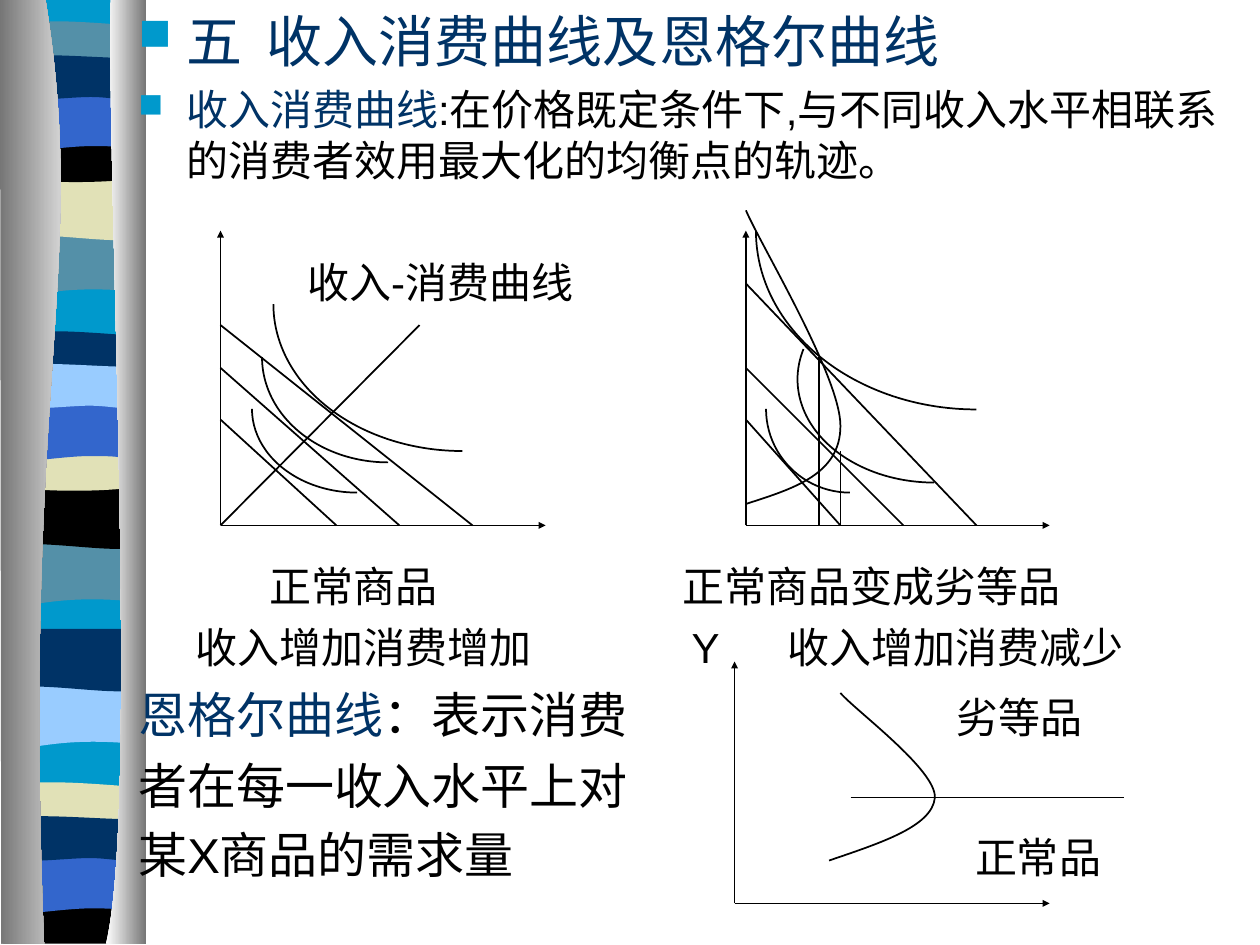
from lxml.etree import SubElement
from pptx import Presentation
from pptx.dml.color import RGBColor
from pptx.enum.shapes import MSO_CONNECTOR as CONN, MSO_SHAPE as SHAPE
from pptx.oxml.ns import qn
from pptx.util import Pt

PX = 9144
NAVY, BLACK, CYAN, TEAL, BLUE, SAND, SKY = (
    "003366", "000000", "0099CC", "5490A8", "3366CC", "E1E1B7", "99CCFF")

# Outlines: a pair is a corner, six numbers are a Bézier segment.
BANDS = {
    "sheet": [(114, 0), (114, 748), (6, 748), (6, 0)],
    "slab": [(114, 0), (114, 47), (39, 39, 24, 55, 6, 47), (6, 0)],
    "flag": [(114, 0), (114, 47), (96, 55, 39, 42, 6, 47), (6, 0)],
    "ribbon": [(114, 5), (114, 29), (96, 33, 24, 33, 6, 29), (6, 5),
               (12, 0, 29, 1, 47, 1), (65, 1, 100, 4, 114, 5)],
    "sag": [(114, 0), (114, 32), (96, 38, 24, 38, 6, 32), (6, 0), (72, 5, 91, 0, 114, 0)],
    "base": [(114, 0), (114, 37), (6, 37), (6, 0), (72, 5, 91, 0, 114, 0)],
    "drape": [(114, 0), (114, 47), (97, 42, 90, 42, 72, 42), (54, 42, 22, 47, 6, 47), (6, 0)],
    "wave": [(114, 5), (114, 36), (107, 41, 90, 36, 72, 36), (54, 36, 17, 41, 6, 36),
             (6, 5), (21, 0, 79, 5, 97, 5), (115, 5, 110, 5, 114, 5)],
}
STRIPES = [
    ("sheet", 0, -1, CYAN),
    ("slab", 0, 185, TEAL), ("flag", 0, 141, SAND), ("ribbon", 0, 16, TEAL),
    ("sag", 0, 108, BLACK), ("drape", 0, 74, BLUE), ("wave", 0, 41, NAVY),
    ("slab", -1, 431, TEAL), ("flag", -1, 386, BLACK), ("ribbon", -1, 262, NAVY),
    ("sag", -1, 353, SAND), ("drape", -1, 320, BLUE), ("wave", -1, 286, SKY),
    ("slab", 0, 544, SKY), ("flag", 0, 499, NAVY), ("ribbon", -1, 620, SAND),
    ("base", -1, 712, BLACK), ("drape", -1, 679, BLUE), ("wave", -1, 645, NAVY),
]
PANELS = [
    ([(36, -1), (71, 216, 17, 296, 35, 749), (1, 749), (0, -1)], ("767676", "FFFFFF")),
    ([(88, -1), (84, 125, 111, 646, 84, 749), (116, 749), (116, 0)], ("FFFFFF", "767676")),
]
AXES = [
    (175, 417, 175, 183), (175, 417, 433, 417),
    (592, 417, 592, 183), (592, 417, 833, 417),
    (583, 717, 833, 717), (583, 717, 583, 525),
]
LINES = [
    (175, 333, 267, 417), (175, 292, 317, 417), (175, 258, 375, 417), (175, 417, 333, 258),
    (592, 333, 667, 417), (592, 292, 717, 417), (592, 225, 775, 417),
    (650, 283, 650, 417), (667, 358, 667, 417), (675, 633, 892, 633),
]
# Ellipse box and the angle where the arc ends.
ARCS = [
    ((200, 258, 167, 133), 180), ((208, 200, 200, 167), 180), ((217, 125, 300, 233), 180),
    ((608, 258, 133, 133), 180), ((633, 219, 217, 164), 193), ((600, 42, 350, 283), 180),
]
CURVES = [
    [(592, 400), (629, 388, 667, 377, 667, 338), (667, 299, 604, 195, 592, 167)],
    [(658, 683), (699, 669, 740, 656, 742, 633), (743, 611, 679, 564, 667, 550)],
]
# Bullet, space before, tab stops, runs.
BODY = [
    (True, 0, [102], [("五\t收入消费曲线及恩格尔曲线", 32, NAVY)]),
    (True, 6, [], [
        ("收入消费曲线", 24, NAVY),
        (":在价格既定条件下,与不同收入水平相联系的消费者效用最大化的均衡点的轨迹。", 24, BLACK)]),
    (False, 41, [134], [("\t收入-消费曲线", 24, BLACK)]),
    (False, 145, [104, 432], [("\t正常商品\t正常商品变成劣等品", 24, BLACK)]),
    (False, 6, [45, 439, 515], [("\t收入增加消费增加\tY\t收入增加消费减少", 24, BLACK)]),
    (False, 7, [649], [("恩格尔曲线", 28, NAVY), ("：表示消费\t", 28, BLACK),
                       ("劣等品", 24, BLACK)]),
    (False, 7, [], [("者在每一收入水平上对", 28, BLACK)]),
    (False, 6, [664], [("某X商品的需求量\t", 28, BLACK), ("正常品", 24, BLACK)]),
]


def rgb(value):
    return RGBColor.from_string(value)


def add_free(shapes, outline, close, dx=0, dy=0):
    """Build an outline through all its knots, then bend the Bézier segments."""
    knots = [((x + dx) * PX, (y + dy) * PX)
             for seg in outline for x, y in zip(seg[::2], seg[1::2])]
    builder = shapes.build_freeform(*knots[0])
    builder.add_line_segments(knots[1:], close=close)
    s = builder.convert_to_shape()
    s.shadow.inherit = False
    steps = iter(list(s._element.iter(qn("a:lnTo"))))
    for seg in outline[1:]:
        first = next(steps)
        if len(seg) == 6:
            first.tag = qn("a:cubicBezTo")
            for _ in range(2):
                step = next(steps)
                first.append(step[0])
                step.getparent().remove(step)
    return s


def outline_only(s):
    s.shadow.inherit = False
    s.fill.background()
    s.line.color.rgb, s.line.width = rgb(BLACK), Pt(1)


def add_line(shapes, ends, arrow=False):
    s = shapes.add_connector(CONN.STRAIGHT, *[v * PX for v in ends])
    s.line.color.rgb, s.line.width = rgb(BLACK), Pt(1)
    if arrow:
        SubElement(s.line._get_or_add_ln(), qn("a:tailEnd"), type="triangle", w="sm", len="sm")
    SubElement(s._element.spPr, qn("a:effectLst"))


def set_layout(p, bullet, tabs):
    pPr = p._p.get_or_add_pPr()
    if bullet:
        pPr.set("marL", str(38 * PX))
        pPr.set("indent", str(-38 * PX))
        SubElement(SubElement(pPr, qn("a:buClr")), qn("a:srgbClr"), val=CYAN)
        SubElement(pPr, qn("a:buSzPct"), val="80000")
        SubElement(pPr, qn("a:buFont"), typeface="Wingdings")
        SubElement(pPr, qn("a:buChar"), char="n")
    if tabs:
        stops = SubElement(pPr, qn("a:tabLst"))
        for tab in tabs:
            SubElement(stops, qn("a:tab"), pos=str(tab * PX), algn="l")


def add_body(shapes):
    tf = shapes.add_textbox(100 * PX, 0, 883 * PX, 750 * PX).text_frame
    tf.word_wrap = True
    for i, (bullet, before, tabs, runs) in enumerate(BODY):
        p = tf.add_paragraph() if i else tf.paragraphs[0]
        set_layout(p, bullet, tabs)
        p.space_before = Pt(before)
        for text, size, color in runs:
            r = p.add_run()
            r.text = text
            for name, value in {"name": "Arial", "size": Pt(size)}.items():
                setattr(r.font, name, value)
            r.font.color.rgb = rgb(color)


def main():
    prs = Presentation()
    prs.slide_width, prs.slide_height = 1000 * PX, 750 * PX
    shapes = prs.slides.add_slide(prs.slide_layouts[6]).shapes

    for band, dx, top, color in STRIPES:
        s = add_free(shapes, BANDS[band], True, dx, top)
        s.fill.solid()
        s.fill.fore_color.rgb = rgb(color)
        s.line.fill.background()
    for outline, colors in PANELS:
        s = add_free(shapes, outline, True)
        s.fill.gradient()
        s.fill.gradient_angle = 0
        for stop, color in zip(s.fill.gradient_stops, colors):
            stop.color.rgb = rgb(color)
        s.line.fill.background()

    add_body(shapes)

    for ends in AXES:
        add_line(shapes, ends, arrow=True)
    for ends in LINES:
        add_line(shapes, ends)
    for box, end in ARCS:
        s = shapes.add_shape(SHAPE.ARC, *[v * PX for v in box])
        for i, angle in enumerate((90, end)):
            s.adjustments[i] = angle * 0.6
        outline_only(s)
    for outline in CURVES:
        outline_only(add_free(shapes, outline, False))

    prs.save("out.pptx")


if __name__ == "__main__":
    main()
